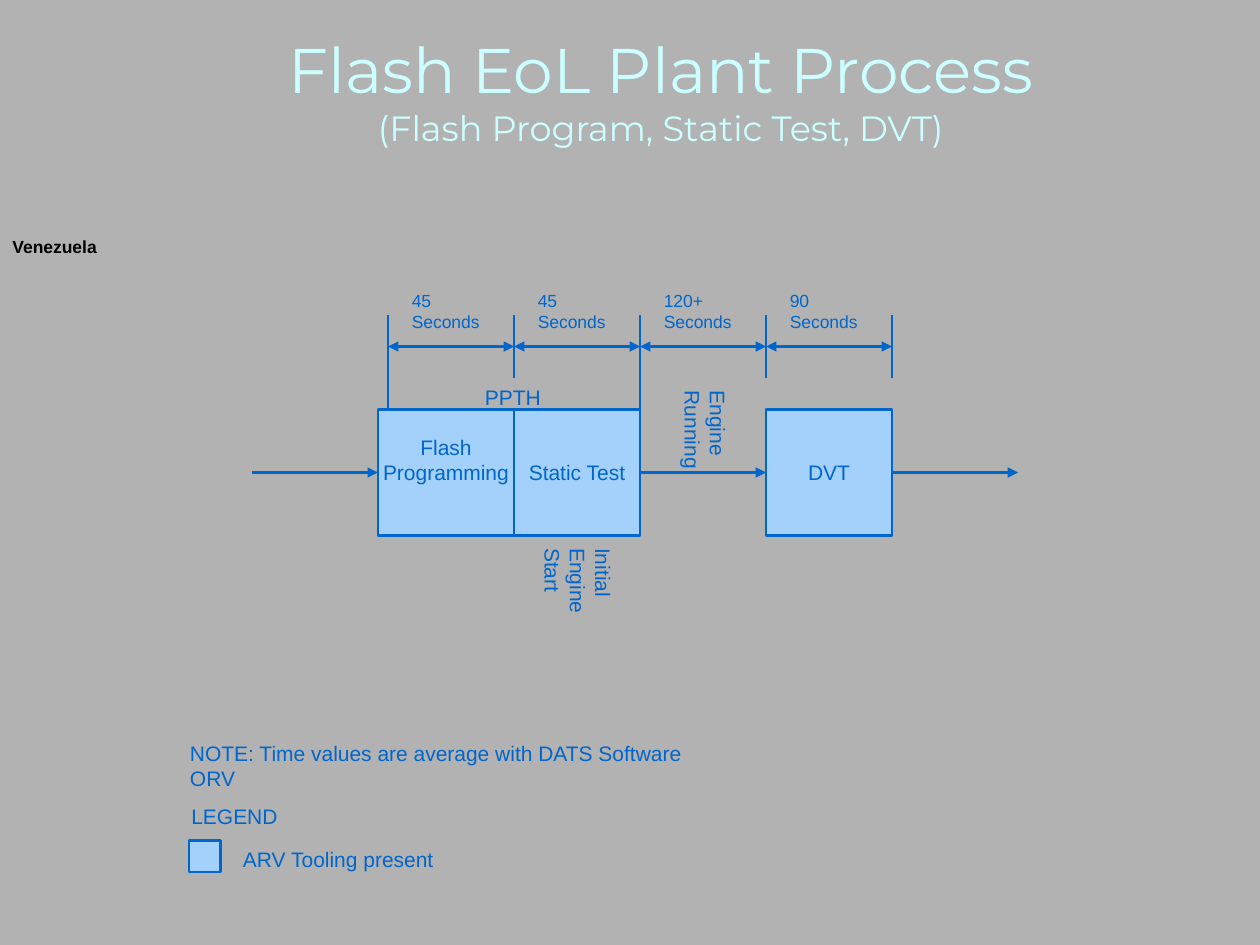
from lxml.etree import SubElement
from pptx import Presentation
from pptx.dml.color import RGBColor
from pptx.enum.shapes import MSO_CONNECTOR as CONNECTOR, MSO_SHAPE as SHAPE
from pptx.enum.text import MSO_ANCHOR as ANCHOR, PP_ALIGN as ALIGN
from pptx.oxml.ns import qn
from pptx.util import Inches, Pt

BACKGROUND, BLUE, PALE_BLUE = "B2B2B2", "0066CC", "A3D1FB"
TITLE_COLOR, BLACK = "CCFFFF", "000000"

# Process steps are one inch wide, between five time marks
MARKS = [3.08 + step for step in range(5)]
DURATIONS = ["45 Seconds", "45 Seconds", "120+ Seconds", "90 Seconds"]
MARK_TOP, ARROW_Y, MARK_END = 2.5, 2.75, 3
STEP_TOP, FLOW_Y = 3.25, 3.75


def color(hex_value):
    return RGBColor.from_string(hex_value)


def style_font(font, size, hex_color=BLUE, name="Arial", bold=False):
    font.size = Pt(size)
    font.name = name
    font.bold = bold
    font.color.rgb = color(hex_color)


def add_label(slide, text, left, top, width, height, size=12, hex_color=BLUE,
              bold=False, anchor=ANCHOR.TOP, wrap=True, vertical=False):
    label = slide.shapes.add_textbox(
        Inches(left), Inches(top), Inches(width), Inches(height))
    frame = label.text_frame
    frame.word_wrap = wrap
    frame.vertical_anchor = anchor
    if vertical:
        frame.margin_left = frame.margin_right = Inches(0.05)
        frame.margin_top = frame.margin_bottom = Inches(0.1)
        frame._txBody.bodyPr.set("vert", "eaVert")
    paragraph = frame.paragraphs[0]
    paragraph.text = text
    style_font(paragraph.font, size, hex_color, bold=bold)


def add_title(slide, heading, subtitle):
    title = slide.shapes.add_textbox(
        Inches(1.33), Inches(0.17), Inches(7.83), Inches(1.08))
    frame = title.text_frame
    frame.word_wrap = True
    frame.vertical_anchor = ANCHOR.MIDDLE
    lines = [frame.paragraphs[0], frame.add_paragraph()]
    for line, text, size in zip(lines, (heading, subtitle), (36, 20)):
        line.text = text
        line.alignment = ALIGN.CENTER
        style_font(line.font, size, TITLE_COLOR, "Montserrat")


def add_box(slide, left, top, width, height, lines=(), bottom_margin=0.05):
    box = slide.shapes.add_shape(
        SHAPE.RECTANGLE, Inches(left), Inches(top), Inches(width), Inches(height))
    box.shadow.inherit = False
    box.fill.solid()
    box.fill.fore_color.rgb = color(PALE_BLUE)
    box.line.color.rgb = color(BLUE)
    box.line.width = Pt(1.5)
    frame = box.text_frame
    frame.word_wrap = False
    frame.vertical_anchor = ANCHOR.MIDDLE
    frame.margin_bottom = Inches(bottom_margin)
    for number, text in enumerate(lines):
        paragraph = frame.add_paragraph() if number else frame.paragraphs[0]
        paragraph.text = text
        paragraph.alignment = ALIGN.CENTER
        style_font(paragraph.font, 12)


def add_line(slide, x1, y1, x2, y2, arrowheads=()):
    line = slide.shapes.add_connector(
        CONNECTOR.STRAIGHT, Inches(x1), Inches(y1), Inches(x2), Inches(y2))
    line.line.color.rgb = color(BLUE)
    line.line.width = Pt(1.5)
    properties = line._element.spPr
    for end in arrowheads:
        SubElement(properties.find(qn("a:ln")), qn(f"a:{end}"), type="triangle")
    SubElement(properties, qn("a:effectLst"))


def add_timeline(slide):
    # Marks at both ends of the PPTH station reach down to its boxes
    for number, x in enumerate(MARKS):
        bottom = STEP_TOP if number in (0, 2) else MARK_END
        add_line(slide, x, MARK_TOP, x, bottom)
    for start, end, duration in zip(MARKS, MARKS[1:], DURATIONS):
        add_line(slide, start, ARROW_Y, end, ARROW_Y, ("headEnd", "tailEnd"))
        add_label(slide, duration, start + 0.09, 2.25, 0.83, 0.44, size=10)


def add_process(slide):
    # The larger bottom margin lifts the two-line step name
    add_box(slide, 3, STEP_TOP, 1.08, 1, ("Flash", "Programming"), 0.25)
    add_box(slide, MARKS[1], STEP_TOP, 1, 1, ("Static Test",))
    add_box(slide, MARKS[3], STEP_TOP, 1, 1, ("DVT",))
    for x in (2, MARKS[2], MARKS[4]):
        add_line(slide, x, FLOW_Y, x + 1, FLOW_Y, ("tailEnd",))
    add_label(slide, "PPTH", 3.75, 3, 0.75, 0.3)
    add_label(slide, "Engine Running", 5.25, 3, 0.6, 0.83, vertical=True)
    add_label(slide, "Initial Engine Start", 4.14, 4.25, 0.8, 0.92, vertical=True)


def add_legend(slide):
    add_label(slide, "NOTE: Time values are average with DATS Software ORV",
              1.41, 5.83, 4.5, 0.3, wrap=False)
    add_label(slide, "LEGEND", 1.42, 6.33, 2.67, 0.3)
    add_box(slide, 1.5, 6.67, 0.25, 0.25)
    add_label(slide, "ARV Tooling present", 1.83, 6.67, 1.83, 0.3)


def main():
    presentation = Presentation()
    presentation.slide_width = Inches(10)
    presentation.slide_height = Inches(7.5)
    slide = presentation.slides.add_slide(presentation.slide_layouts[6])
    slide.background.fill.solid()
    slide.background.fill.fore_color.rgb = color(BACKGROUND)

    add_title(slide, "Flash EoL Plant Process", "(Flash Program, Static Test, DVT)")
    add_label(slide, "Venezuela", 0, 1.75, 1.75, 0.34, size=10,
              hex_color=BLACK, bold=True, anchor=ANCHOR.BOTTOM)
    add_process(slide)
    add_timeline(slide)
    add_legend(slide)
    presentation.save("out.pptx")


if __name__ == "__main__":
    main()
